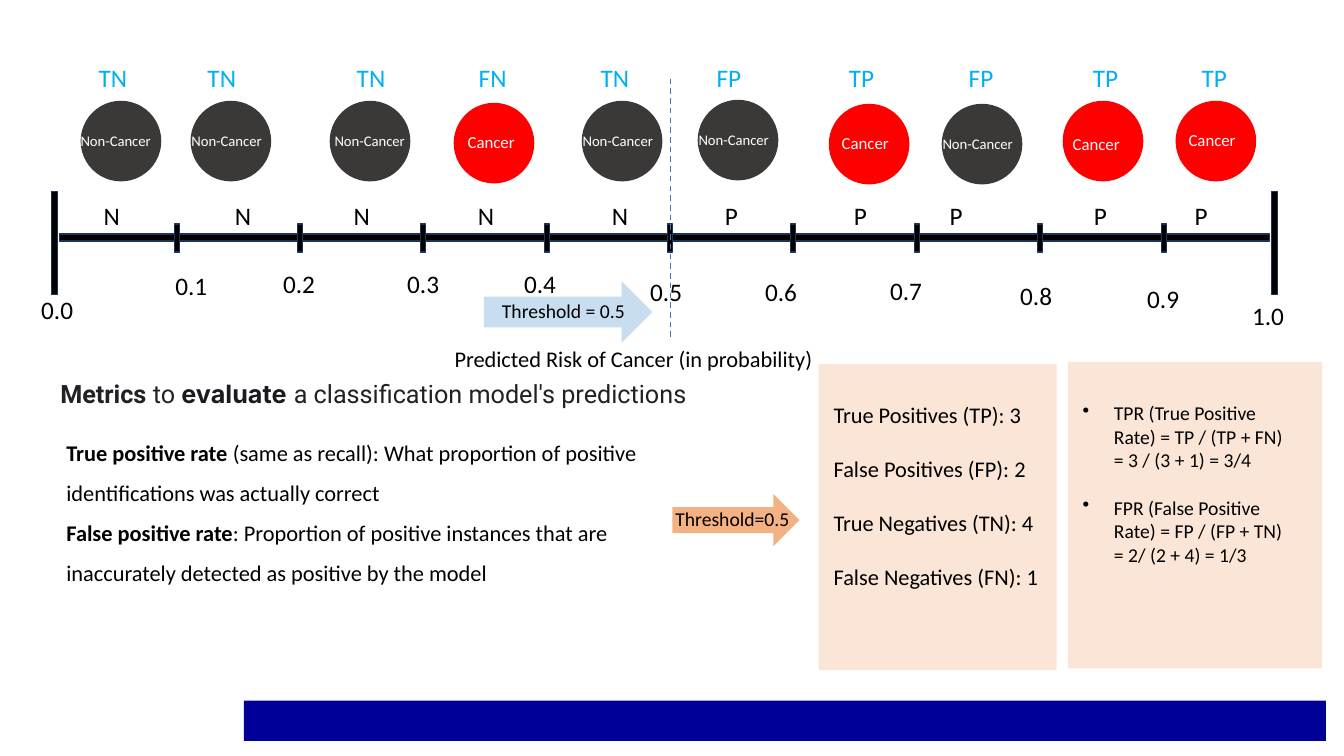
"""Build the slide on threshold-based metrics for a cancer classifier."""
from dataclasses import dataclass
from typing import NamedTuple

from lxml.etree import SubElement
from pptx import Presentation
from pptx.dml.color import RGBColor
from pptx.enum.dml import MSO_LINE
from pptx.enum.shapes import MSO_CONNECTOR, MSO_SHAPE
from pptx.enum.text import MSO_AUTO_SIZE
from pptx.oxml.ns import qn
from pptx.shapes.autoshape import Shape
from pptx.shapes.shapetree import GroupShapes, SlideShapes
from pptx.util import Emu, Pt

EMU_PER_PX = 9144


@dataclass(frozen=True)
class Theme:
    black: str = "000000"
    white: str = "FFFFFF"
    axis_line: str = "1E3256"
    outcome: str = "00B0F0"
    cancer: str = "FF0000"
    healthy: str = "3B3838"
    cutoff: str = "4472C4"
    blue_arrow: str = "BDD7EE"
    orange_arrow: str = "F4B183"
    panel: str = "FBE5D6"
    footer: str = "000099"
    metrics: str = "202124"
    evaluate: str = "1A1B1F"
    body_font: str = "Calibri"
    heading_font: str = "Roboto"
    accent_font: str = "Inter"
    large: float = 18
    body: float = 16
    small: float = 14
    cancer_label: float = 12
    healthy_label: float = 10.5


THEME = Theme()


class Frame(NamedTuple):
    left: int
    top: int
    width: int
    height: int


class Span(NamedTuple):
    text: str
    bold: bool = False
    font: str = THEME.body_font
    color: str = THEME.black


class Case(NamedTuple):
    outcome: str
    outcome_left: int
    call_left: int
    circle_left: int
    circle_top: int
    label_left: int
    label_top: int


class ScaleLabel(NamedTuple):
    text: str
    left: int
    top: int


CASES = [
    Case("TN", 88, 93, 80, 100, 70, 126),
    Case("TN", 196, 223, 189, 100, 180, 126),
    Case("TN", 344, 341, 327, 100, 322, 126),
    Case("FN", 465, 464, 450, 102, 454, 126),
    Case("TN", 586, 597, 577, 100, 568, 126),
    Case("FP", 701, 709, 692, 99, 683, 125),
    Case("TP", 832, 837, 822, 103, 825, 127),
    Case("FP", 951, 932, 934, 103, 925, 129),
    Case("TP", 1074, 1075, 1054, 100, 1054, 128),
    Case("TP", 1182, 1175, 1166, 100, 1169, 124),
]

SCALE_LABELS = [
    ScaleLabel("0.0", 31, 287), ScaleLabel("0.1", 164, 263), ScaleLabel("0.2", 271, 261),
    ScaleLabel("0.3", 394, 261), ScaleLabel("0.4", 510, 261), ScaleLabel("0.5", 635, 269),
    ScaleLabel("0.6", 749, 269), ScaleLabel("0.7", 873, 268), ScaleLabel("0.8", 1002, 273),
    ScaleLabel("0.9", 1128, 276), ScaleLabel("1.0", 1232, 293),
]

HEADING = [
    Span("Metrics", True, THEME.heading_font, THEME.metrics),
    Span(" to ", False, THEME.heading_font, THEME.metrics),
    Span("evaluate", True, THEME.accent_font, THEME.evaluate),
    Span(" ", False, THEME.accent_font, THEME.evaluate),
    Span("a classification model's predictions", False, THEME.heading_font, THEME.metrics),
]
DEFINITIONS = [
    [Span("True positive rate ", True),
     Span("(same as recall): What proportion of positive identifications was actually correct")],
    [Span("False positive rate", True),
     Span(": Proportion of positive instances that are")],
    [Span("inaccurately detected as positive by the model")],
]
COUNTS = [
    [Span("True Positives (TP): 3")], [Span("False Positives (FP): 2")],
    [Span("True Negatives (TN): 4")], [Span("False Negatives (FN): 1")],
]
RATES = [
    [Span("TPR (True Positive Rate) = TP / (TP + FN) = 3 / (3 + 1) = 3/4")],
    [Span("FPR (False Positive Rate) = FP / (FP + TN) = 2/ (2 + 4) = 1/3")],
]


def px(length: int) -> Emu:
    """Turn px into EMU."""
    return Emu(length * EMU_PER_PX)


def add_block(shapes: SlideShapes | GroupShapes, kind: MSO_SHAPE, frame: Frame,
              fill: str, outline: float = 0) -> Shape:
    """Draw a filled preset shape, outlined if a width is given."""
    block = shapes.add_shape(kind, *map(px, frame))
    block.shadow.inherit = False
    block.fill.solid()
    block.fill.fore_color.rgb = RGBColor.from_string(fill)
    if outline:
        block.line.color.rgb = RGBColor.from_string(THEME.axis_line)
        block.line.width = Pt(outline)
    else:
        block.line.fill.background()
    return block


def add_text(shapes: SlideShapes | GroupShapes, frame: Frame, paragraphs: list[list[Span]],
             size: float, wrap: bool = True, line_spacing: float | None = None,
             gap: float = 0, bullet: bool = False) -> None:
    """Write paragraphs of spans in a text box."""
    box = shapes.add_textbox(*map(px, frame))
    box.text_frame.word_wrap = wrap
    box.text_frame.auto_size = MSO_AUTO_SIZE.SHAPE_TO_FIT_TEXT
    for index, spans in enumerate(paragraphs):
        para = box.text_frame.add_paragraph() if index else box.text_frame.paragraphs[0]
        para.line_spacing = line_spacing
        if index and gap:
            para.space_before = Pt(gap)
        if bullet:
            properties = para._p.get_or_add_pPr()
            properties.set("marL", str(px(31)))
            properties.set("indent", str(-px(31)))
            SubElement(properties, qn("a:buChar"), char="•")
        para.font.size = Pt(size)
        uniform = len({(span.bold, span.font, span.color) for span in spans}) == 1
        for span in spans:
            run = para.add_run()
            run.text = span.text
            font = para.font if uniform else run.font
            font.name = span.font
            font.bold = span.bold
            font.color.rgb = RGBColor.from_string(span.color)


def add_axis(shapes: SlideShapes) -> None:
    """Draw the probability axis with its ends, ticks and labels."""
    add_block(shapes, MSO_SHAPE.RECTANGLE, Frame(59, 232, 1200, 7), THEME.black, 1)
    for left in (51, 1261):
        add_block(shapes, MSO_SHAPE.RECTANGLE, Frame(left, 190, 6, 102), THEME.black, 1)
    for index in range(9):
        tick = Frame(173 + 979 * index // 8, 222, 5, 28)
        add_block(shapes, MSO_SHAPE.RECTANGLE, tick, THEME.black, 1.29)
    for label in SCALE_LABELS:
        add_text(shapes, Frame(label.left, label.top, 54, 40), [[Span(label.text)]], THEME.large)


def add_case(shapes: SlideShapes, case: Case) -> None:
    """Draw one patient with its outcome and the predicted class."""
    cancer = case.outcome in ("TP", "FN")
    word, width, height, size, fill = (
        ("Cancer", 73, 30, THEME.cancer_label, THEME.cancer) if cancer
        else ("Non-Cancer", 98, 28, THEME.healthy_label, THEME.healthy))
    patient = shapes.add_group_shape().shapes
    add_block(patient, MSO_SHAPE.OVAL, Frame(case.circle_left, case.circle_top, 80, 80), fill)
    add_text(patient, Frame(case.label_left, case.label_top, width, height),
             [[Span(word, color=THEME.white)]], size, wrap=False)
    add_text(shapes, Frame(case.outcome_left, 57, 54, 40),
             [[Span(case.outcome, color=THEME.outcome)]], THEME.large)
    add_text(shapes, Frame(case.call_left, 194, 38, 40), [[Span(case.outcome[1])]], THEME.large)


def add_cutoff(shapes: SlideShapes) -> None:
    """Draw the dashed threshold line and its arrow."""
    arrow = add_block(shapes, MSO_SHAPE.RIGHT_ARROW, Frame(480, 279, 167, 61), THEME.blue_arrow)
    color = arrow._element.spPr.find(qn("a:solidFill"))[0]
    SubElement(color, qn("a:alpha"), val="83000")
    add_text(shapes, Frame(488, 292, 150, 34), [[Span("Threshold = 0.5")]], THEME.small, wrap=False)
    line = shapes.add_connector(MSO_CONNECTOR.STRAIGHT, px(665), px(78), px(665), px(338))
    line.line.color.rgb = RGBColor.from_string(THEME.cutoff)
    line.line.width = Pt(1)
    line.line.dash_style = MSO_LINE.DASH
    SubElement(line._element.spPr, qn("a:effectLst"))


def add_metrics(shapes: SlideShapes) -> None:
    """Write the definitions, the counts and the rates."""
    add_text(shapes, Frame(441, 338, 450, 37),
             [[Span("Predicted Risk of Cancer (in probability)")]], THEME.body)
    add_text(shapes, Frame(50, 370, 726, 40), [HEADING], THEME.large)
    add_text(shapes, Frame(56, 417, 701, 202), DEFINITIONS, THEME.body, line_spacing=1.5)
    add_block(shapes, MSO_SHAPE.RIGHT_ARROW, Frame(667, 490, 126, 52), THEME.orange_arrow)
    add_text(shapes, Frame(660, 498, 143, 64), [[Span("Threshold=0.5")]], THEME.small)
    add_block(shapes, MSO_SHAPE.RECTANGLE, Frame(812, 361, 236, 304), THEME.panel)
    add_text(shapes, Frame(817, 393, 226, 229), COUNTS, THEME.body, wrap=False, gap=19.5)
    add_block(shapes, MSO_SHAPE.RECTANGLE, Frame(1059, 359, 252, 304), THEME.panel)
    add_text(shapes, Frame(1064, 393, 223, 364), RATES, THEME.small, gap=17, bullet=True)


def main() -> None:
    """Build and save the deck."""
    deck = Presentation()
    deck.slide_width, deck.slide_height = px(1333), px(750)
    page = deck.slides.add_slide(deck.slide_layouts[6])
    add_block(page.shapes, MSO_SHAPE.RECTANGLE, Frame(242, 695, 1073, 40), THEME.footer)
    add_axis(page.shapes)
    for case in CASES:
        add_case(page.shapes, case)
    add_cutoff(page.shapes)
    add_metrics(page.shapes)
    deck.save("out.pptx")


if __name__ == "__main__":
    main()
